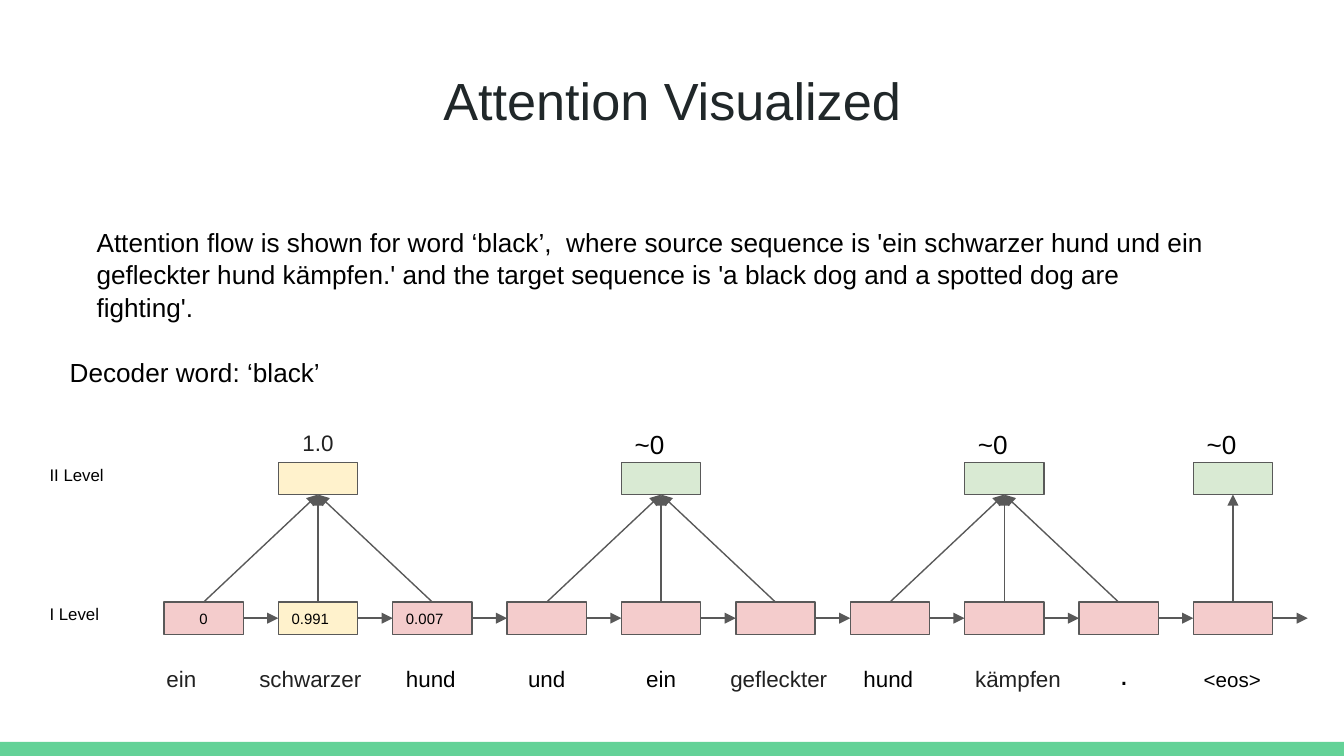
import dataclasses
import typing

import pptx
import pptx.dml.color
import pptx.enum.shapes
import pptx.enum.text
import pptx.oxml
import pptx.oxml.ns
import pptx.util

LEFT = pptx.enum.text.PP_ALIGN.LEFT
CENTER = pptx.enum.text.PP_ALIGN.CENTER
TOP, BOTTOM_SITE, LEFT_SITE, RIGHT_SITE = 0, 2, 1, 3


@dataclasses.dataclass(frozen=True)
class Theme:
    font: str = "Arial"
    title_ink: str = "202729"
    ink: str = "000000"
    soft_ink: str = "212121"
    line: str = "595959"
    footer: str = "63D297"
    source: str = "F4CCCC"
    focus: str = "FFF2CC"
    summary: str = "D9EAD3"
    title: int = 28
    body: int = 14
    period: int = 16
    word: int = 12
    eos: int = 11
    level: int = 9
    weight: int = 8
    stroke: float = 0.75


@dataclasses.dataclass(frozen=True)
class Grid:
    unit: float = 0.1
    width: float = 100
    height: float = 56.25
    left: float = 12.2
    pitch: float = 8.51
    cell_w: float = 5.9
    cell_h: float = 2.4
    upper: float = 34.4
    lower: float = 44.8
    score: float = 30.9
    words: float = 48.5

    def x(self, col: int) -> float:
        return self.left + col * self.pitch


T = Theme()
G = Grid()


class Word(typing.NamedTuple):
    text: str
    shift: float = 0
    width: float = G.cell_w
    align: int = LEFT
    color: str = T.ink
    size: int = T.word
    drop: float = 0


class Token(typing.NamedTuple):
    word: Word
    weight: str = ""
    align: int = LEFT
    fill: str = T.source


class Group(typing.NamedTuple):
    col: int
    members: tuple
    score: str = "~0"
    align: int = LEFT
    color: str = T.ink
    size: int = T.body
    fill: str = T.summary


class Note(typing.NamedTuple):
    text: str
    box: tuple
    size: int
    align: int = LEFT
    color: str = T.ink
    spacing: float = 1.0


TOKENS = [
    Token(Word("ein", -0.8, color=T.soft_ink), "0", CENTER),
    Token(Word("schwarzer", -2.4, 11.1, color=T.soft_ink), "0.991", fill=T.focus),
    Token(Word("hund"), "0.007"),
    Token(Word("und", align=CENTER)),
    Token(Word("ein", align=CENTER)),
    Token(Word("gefleckter", -2.6, 11.6, CENTER, T.soft_ink)),
    Token(Word("hund")),
    Token(Word("kämpfen", -0.2, 8.5, color=T.soft_ink)),
    Token(Word(".", 0.4, align=CENTER, size=T.period, drop=-0.7)),
    Token(Word("<eos>", -0.7, 7.2, CENTER, size=T.eos, drop=0.2)),
]

GROUPS = [
    Group(1, (0, 1, 2), "1.0", CENTER, T.soft_ink, T.word, T.focus),
    Group(4, (3, 4, 5)),
    Group(7, (6, 7, 8)),
    Group(9, (9,)),
]

NOTES = [
    Note("Attention Visualized", (3.4, 4.1, 93.2, 6.3), T.title, CENTER, T.title_ink),
    Note("Attention flow is shown for word ‘black’,  where source sequence is "
         "'ein schwarzer hund und ein gefleckter hund kämpfen.' and the target "
         "sequence is 'a black dog and a spotted dog are fighting'.",
         (6.2, 15.7, 85.2, 6.3), T.body, spacing=1.05),
    Note("Decoder word: ‘black’", (4.2, 25.5, 25.3, 3.5), T.body),
    Note("II Level", (2.7, 33.8, 11.1, 3.6), T.level),
    Note("I Level", (2.7, 44.2, 9.5, 3.6), T.level),
]


def length(units: float) -> pptx.util.Emu:
    return pptx.util.Inches(units * G.unit)


def rgb(value: str) -> pptx.dml.color.RGBColor:
    return pptx.dml.color.RGBColor.from_string(value)


def write(sp, text: str, *, size: int, align: int = LEFT, color: str = T.ink,
          spacing: float = 1.0, anchor=pptx.enum.text.MSO_ANCHOR.TOP) -> None:
    tf = sp.text_frame
    tf.word_wrap = True
    tf.vertical_anchor = anchor
    tf.margin_left = tf.margin_right = tf.margin_top = tf.margin_bottom = length(1)
    p = tf.paragraphs[0]
    p.alignment = align
    p.line_spacing = spacing
    r = p.add_run()
    r.text = text
    r.font.name = T.font
    r.font.size = pptx.util.Pt(size)
    r.font.color.rgb = rgb(color)


def add_text(s, text: str, box: tuple, **style) -> None:
    write(s.shapes.add_textbox(*map(length, box)), text, **style)


def add_box(s, box: tuple, fill: str, outlined: bool = True):
    sp = s.shapes.add_shape(pptx.enum.shapes.MSO_SHAPE.RECTANGLE, *map(length, box))
    sp.shadow.inherit = False
    sp.fill.solid()
    sp.fill.fore_color.rgb = rgb(fill)
    if outlined:
        sp.line.color.rgb = rgb(T.line)
        sp.line.width = pptx.util.Pt(T.stroke)
    else:
        sp.line.fill.background()
    return sp


def add_arrow(s, start, start_site: int, end=None, end_site: int = LEFT_SITE) -> None:
    y = start.top + start.height // 2
    x = start.left + start.width
    gap = length(G.pitch - G.cell_w)
    sp = s.shapes.add_connector(pptx.enum.shapes.MSO_CONNECTOR.STRAIGHT, x, y, x + gap, y)
    sp.begin_connect(start, start_site)
    if end is not None:
        sp.end_connect(end, end_site)
    sp.line.color.rgb = rgb(T.line)
    sp.line.width = pptx.util.Pt(T.stroke)
    ln = sp.line._get_or_add_ln()
    ln.append(pptx.oxml.parse_xml(
        f'<a:tailEnd {pptx.oxml.ns.nsdecls("a")} type="triangle"/>'))
    ln.addnext(pptx.oxml.parse_xml(f'<a:effectLst {pptx.oxml.ns.nsdecls("a")}/>'))


def add_token(s, col: int, token: Token):
    sp = add_box(s, (G.x(col), G.lower, G.cell_w, G.cell_h), token.fill)
    if token.weight:
        write(sp, token.weight, size=T.weight, align=token.align,
              anchor=pptx.enum.text.MSO_ANCHOR.MIDDLE)
    word = token.word
    add_text(s, word.text, (G.x(col) + word.shift, G.words + word.drop, word.width, G.cell_h),
             size=word.size, align=word.align, color=word.color)
    return sp


def add_group(s, group: Group, cells: list) -> None:
    x = G.x(group.col)
    sp = add_box(s, (x, G.upper, G.cell_w, G.cell_h), group.fill)
    for col in group.members:
        add_arrow(s, cells[col], TOP, sp, BOTTOM_SITE)
    add_text(s, group.score, (x, G.score, G.cell_w, 3), size=group.size,
             align=group.align, color=group.color)


def main() -> None:
    """Build the attention slide and save it."""
    prs = pptx.Presentation()
    prs.slide_width, prs.slide_height = length(G.width), length(G.height)
    s = prs.slides.add_slide(prs.slide_layouts[6])
    add_box(s, (0, 55.2, G.width, G.height - 55.2), T.footer, outlined=False)
    for note in NOTES:
        add_text(s, note.text, note.box, size=note.size, align=note.align,
                 color=note.color, spacing=note.spacing)
    cells = [add_token(s, col, token) for col, token in enumerate(TOKENS)]
    for start, end in zip(cells, cells[1:] + [None]):
        add_arrow(s, start, RIGHT_SITE, end)
    for group in GROUPS:
        add_group(s, group, cells)
    prs.save("out.pptx")


if __name__ == "__main__":
    main()
